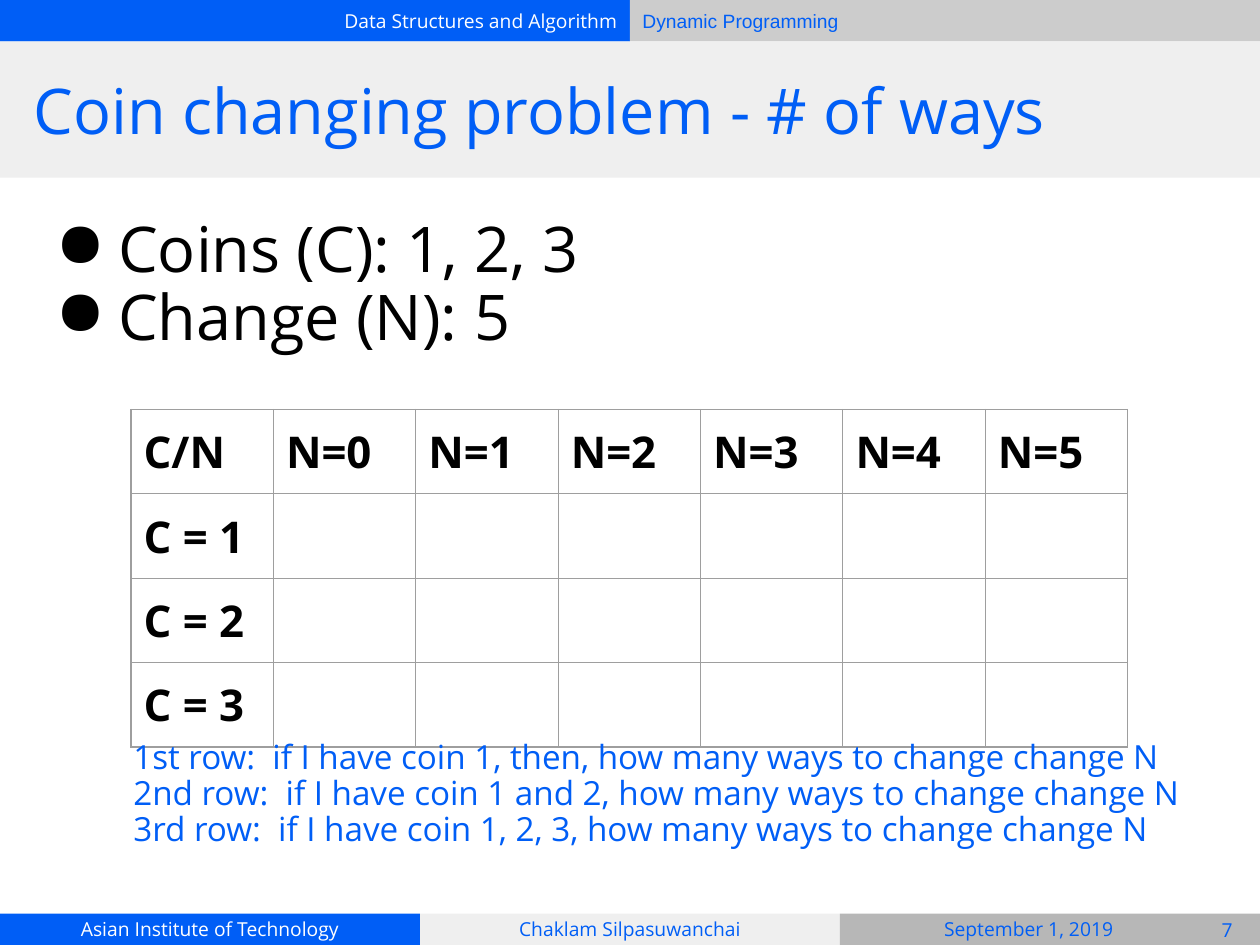
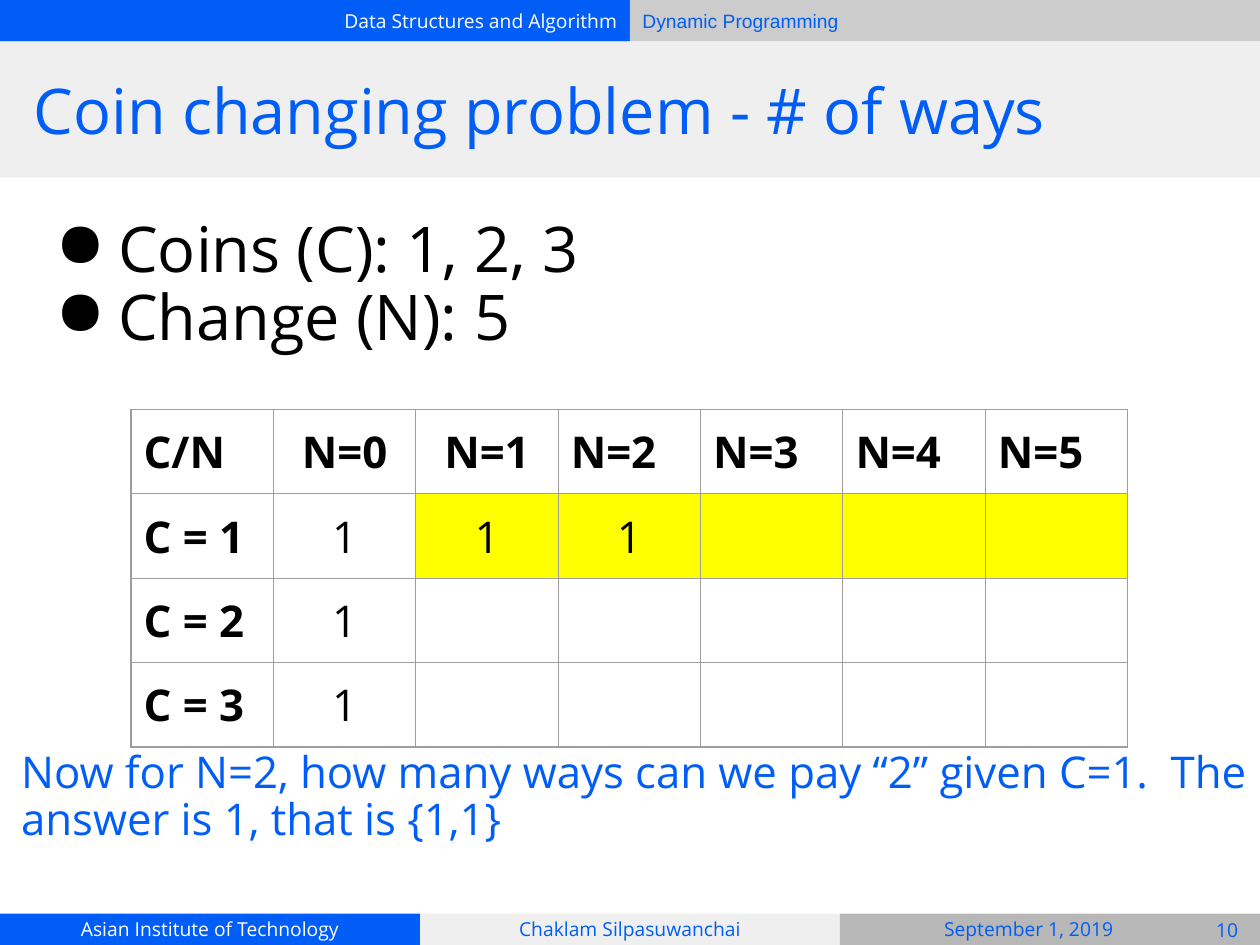
import pptx
import pptx.util
import pptx.dml.color
import pptx.enum.shapes
import pptx.enum.text
from lxml import etree

# Content
TITLE = "Coin changing problem - # of ways"
BULLETS = ["Coins (C): 1, 2, 3", "Change (N): 5"]
HEADER = ["C/N"] + [f"N={n}" for n in range(6)]
COINS = ["C = 1", "C = 2", "C = 3"]
SLIDES = [
    {
        "number": "7",
        "ways": {},
        "marked": [],
        "centred": [],
        "note": [
            "1st row:  if I have coin 1, then, how many ways to change change N",
            "2nd row:  if I have coin 1 and 2, how many ways to change change N",
            "3rd row:  if I have coin 1, 2, 3, how many ways to change change N",
        ],
        "note_box": (0.96, 5.78, 8.62, 1.16),
        "note_size": 19,
    },
    {
        "number": "10",
        "ways": {(1, 1): "1", (2, 1): "1", (3, 1): "1", (1, 2): "1", (1, 3): "1"},
        "marked": [(1, col) for col in range(2, 7)],
        "centred": [(0, 1), (0, 2)],
        "note": ["Now for N=2, how many ways can we pay “2” given C=1.  "
                 "The answer is 1, that is {1,1}"],
        "note_box": (0.07, 5.86, 9.93, 1.55),
        "note_size": 25,
    },
]

# Shared look
W, H = 10, 7.5
TOP, TITLE_H, FOOT = 0.33, 1.08, 0.25
BLUE, WHITE, BLACK, YELLOW = "005EF6", "FFFFFF", "000000", "FFFF00"
PALE, LIGHT, MID, RULE = "EFEFEF", "CCCCCC", "B7B7B7", "9E9E9E"
FONT = "Open Sans"
SPACING = 0.9
LEFT = pptx.enum.text.PP_ALIGN.LEFT
CENTER = pptx.enum.text.PP_ALIGN.CENTER
RIGHT = pptx.enum.text.PP_ALIGN.RIGHT
MIDDLE = pptx.enum.text.MSO_ANCHOR.MIDDLE
ANCHOR_TOP = pptx.enum.text.MSO_ANCHOR.TOP
Inches, Pt = pptx.util.Inches, pptx.util.Pt


def color(hex_text):
    return pptx.dml.color.RGBColor.from_string(hex_text)


def sub(parent, tag, **attrs):
    return etree.SubElement(parent, pptx.oxml.ns.qn(tag), attrs)


def add_run(p, text, size, fill, font=FONT, bold=False):
    r = p.add_run()
    r.text = text
    r.font.name, r.font.size, r.font.bold = font, Pt(size), bold
    r.font.color.rgb = color(fill)


def add_text(sp, lines, size, fill, align=LEFT, anchor=MIDDLE, font=FONT,
             inset=0.1, spacing=None, bullet=None):
    tf = sp.text_frame
    tf.word_wrap = True
    tf.vertical_anchor = anchor
    tf.margin_left = tf.margin_right = Inches(0.1)
    tf.margin_top = tf.margin_bottom = Inches(inset)
    for i, line in enumerate(lines):
        p = tf.paragraphs[0] if i == 0 else tf.add_paragraph()
        p.alignment = align
        if spacing:
            p.line_spacing = spacing
        if bullet:
            pPr = p._p.get_or_add_pPr()
            pPr.set("marL", str(Inches(0.5)))
            pPr.set("indent", str(-Inches(0.5)))
            sub(sub(pPr, "a:buClr"), "a:srgbClr", val=fill)
            sub(pPr, "a:buChar", char=bullet)
        add_run(p, line, size, fill, font)


def add_box(s, box):
    return s.shapes.add_textbox(*map(Inches, box))


def add_band(s, box, fill):
    sp = s.shapes.add_shape(pptx.enum.shapes.MSO_SHAPE.RECTANGLE, *map(Inches, box))
    sp.shadow.inherit = False
    sp.fill.solid()
    sp.fill.fore_color.rgb = color(fill)
    sp.line.fill.background()
    return sp


def add_frame(s, number):
    # Header halves
    left = add_band(s, (0, 0, W / 2, TOP), BLUE)
    add_text(left, ["Data Structures and Algorithm"], 11, WHITE, RIGHT)
    right = add_band(s, (W / 2, 0, W / 2, TOP), LIGHT)
    add_text(right, ["Dynamic Programming"], 11, BLUE, font="Arial")

    # Footer thirds
    third, y = W / 3, H - FOOT
    school, author, _ = [add_band(s, (i * third, y, third, FOOT), fill)
                         for i, fill in enumerate((BLUE, PALE, MID))]
    add_text(school, ["Asian Institute of Technology"], 11, WHITE, CENTER)
    add_text(author, ["Chaklam Silpasuwanchai"], 11, BLUE, CENTER)
    date = add_box(s, (6.75, y, 2.83, FOOT))
    add_text(date, ["September 1, 2019"], 11, BLUE, CENTER)
    page = add_box(s, (9.48, 7.26, 0.52, 0.24))
    add_text(page, [number], 11, BLUE, CENTER)

    # Title
    add_band(s, (0, TOP, W, TITLE_H), PALE)
    title = add_box(s, (0.17, TOP, W - 0.33, TITLE_H))
    add_text(title, [TITLE], 36, BLUE)


def add_borders(cell):
    tcPr = cell._tc.get_or_add_tcPr()
    for i, side in enumerate(("a:lnL", "a:lnR", "a:lnT", "a:lnB")):
        ln = etree.Element(pptx.oxml.ns.qn(side), w=str(Pt(0.75)))
        sub(sub(ln, "a:solidFill"), "a:srgbClr", val=RULE)
        tcPr.insert(i, ln)


def add_ways_table(s, ways, marked, centred):
    rows, cols = len(COINS) + 1, len(HEADER)
    col_w, row_h = 1.13, 0.67
    frame = s.shapes.add_table(rows, cols, Inches(1.04), Inches(3.25),
                               Inches(cols * col_w), Inches(rows * row_h))
    table = frame.table
    table.first_row = table.horz_banding = False
    labels = {(0, col): text for col, text in enumerate(HEADER)}
    labels.update({(row, 0): text for row, text in enumerate(COINS, 1)})
    for row in range(rows):
        for col in range(cols):
            at = (row, col)
            cell = table.cell(row, col)
            cell.margin_left = cell.margin_right = Inches(0.1)
            cell.margin_top = cell.margin_bottom = Inches(0.1)
            if at in marked:
                cell.fill.solid()
                cell.fill.fore_color.rgb = color(YELLOW)
            else:
                cell.fill.background()
            add_borders(cell)
            text = labels.get(at) or ways.get(at)
            if text:
                p = cell.text_frame.paragraphs[0]
                p.alignment = CENTER if at in ways or at in centred else LEFT
                add_run(p, text, 25, BLACK, bold=at in labels)


def main():
    prs = pptx.Presentation()
    prs.slide_width, prs.slide_height = Inches(W), Inches(H)
    for content in SLIDES:
        s = prs.slides.add_slide(prs.slide_layouts[6])
        add_frame(s, content["number"])
        body = add_box(s, (0.34, 1.68, 9.32, 1.55))
        add_text(body, BULLETS, 36, BLACK, anchor=ANCHOR_TOP, inset=0.05,
                 spacing=SPACING, bullet="●")
        add_ways_table(s, content["ways"], content["marked"], content["centred"])
        note = add_box(s, content["note_box"])
        add_text(note, content["note"], content["note_size"], BLUE,
                 anchor=ANCHOR_TOP, spacing=SPACING)
    prs.save("out.pptx")


if __name__ == "__main__":
    main()
